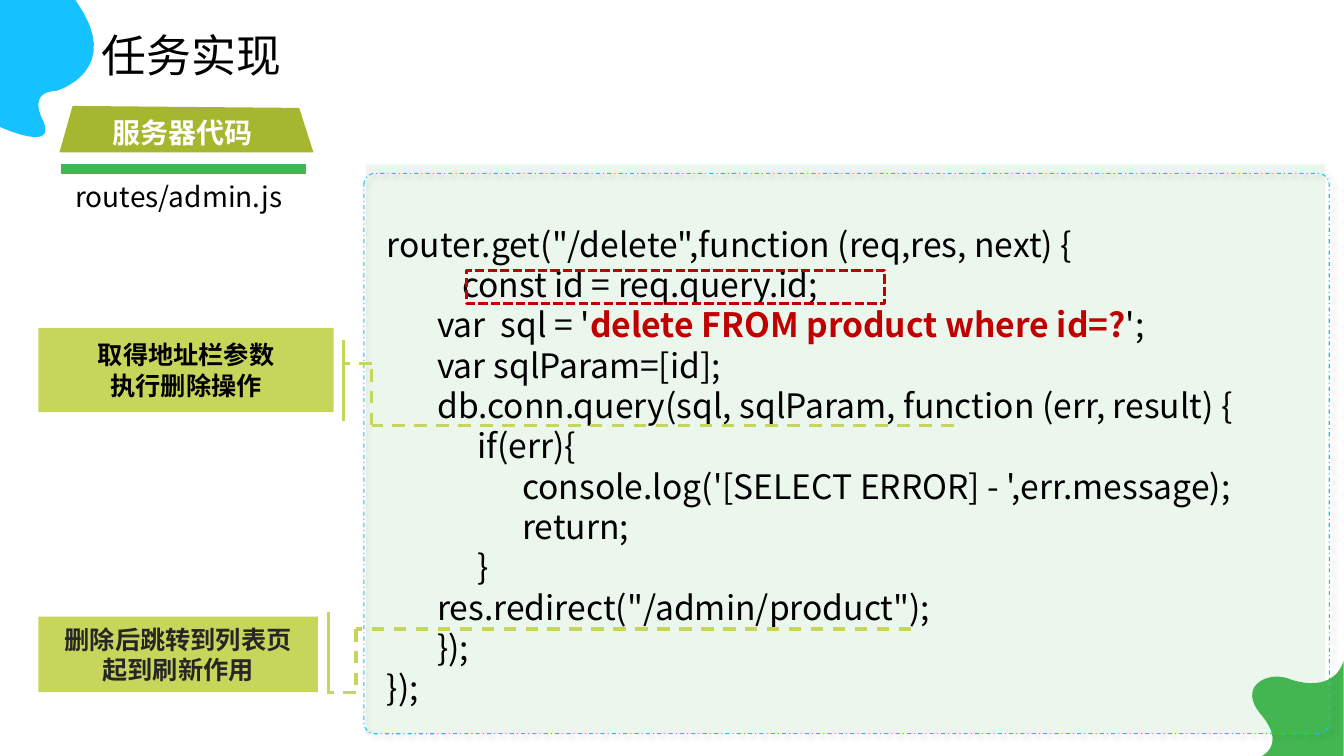
from lxml import etree
from pptx import Presentation
from pptx import util as u
from pptx.dml.color import RGBColor
from pptx.enum import dml, shapes, text
from pptx.oxml import ns

Cm, Pt = u.Cm, u.Pt
FONT = "Noto Sans CJK SC"
BLUE, GREEN, LIME, OLIVE = "15C2FF", "43B651", "C6D65B", "A5B72E"
BLACK, RED, WHITE = "000000", "C00000", "FFFFFF"
rgb = RGBColor.from_string


def add_run(paragraph, words, size, color=BLACK, bold=False):
    run = paragraph.add_run()
    run.text = words
    run.font.size, run.font.bold, run.font.name = Pt(size), bold, FONT
    run.font.color.rgb = rgb(color)
    etree.SubElement(run.font._element, ns.qn("a:ea"), typeface=FONT)


def style(shape, fill=None, line=None, width=1, dash=None):
    shape.shadow.inherit = False
    if fill:
        shape.fill.solid()
        shape.fill.fore_color.rgb = rgb(fill)
    else:
        shape.fill.background()
    if line:
        shape.line.color.rgb = rgb(line)
        shape.line.width = Pt(width)
        shape.line.dash_style = dash
    else:
        shape.line.fill.background()


prs = Presentation()
prs.slide_width, prs.slide_height = Cm(33.87), Cm(19.05)
slide = prs.slides.add_slide(prs.slide_layouts[5])
canvas = slide.shapes
RECT = shapes.MSO_SHAPE.RECTANGLE

# Corner blobs: start, cubic curves, last corner (cm)
blobs = [
    (BLUE, (0, 3.2), [[(0, 3.2), (1.45, 3.86), (1.09, 3.05)],
                      [(1.09, 3.05), (0.66, 2.31), (1.42, 2.29)],
                      [(1.42, 2.29), (3.18, 1.78), (1.9, 0)]], (0, 0)),
    (GREEN, (31.8, 19.05), [[(31.8, 19.05), (32.41, 18.77), (31.8, 18.03)],
                            [(31.17, 17.32), (31.9, 16.92), (32.44, 17.09)],
                            [(32.97, 17.3), (33.66, 17.3), (33.86, 16.66)]], (33.86, 19.05)),
]
STEPS = 16
for color, start, curves, corner in blobs:
    outline = [start]
    for curve in curves:
        anchors = [outline[-1]] + curve
        for step in range(1, STEPS + 1):
            t = step / STEPS
            weights = [(1 - t) ** 3, 3 * t * (1 - t) ** 2, 3 * t * t * (1 - t), t ** 3]
            outline.append(tuple(sum(w * a[axis] for w, a in zip(weights, anchors))
                                 for axis in (0, 1)))
    outline.append(corner)
    builder = canvas.build_freeform(Cm(start[0]), Cm(start[1]))
    builder.add_line_segments([(Cm(x), Cm(y)) for x, y in outline[1:]])
    style(builder.convert_to_shape(), color)

# Code panel: tinted background and dashed frame with a soft shadow
panel = canvas.add_shape(RECT, Cm(9.22), Cm(4.14), Cm(24.18), Cm(14.35))
style(panel, GREEN)
tint = panel.fill._xPr.find(".//" + ns.qn("a:srgbClr"))
etree.SubElement(tint, ns.qn("a:alpha"), val="10000")

frame = canvas.add_shape(shapes.MSO_SHAPE.ROUNDED_RECTANGLE,
                         Cm(9.17), Cm(4.37), Cm(24.33), Cm(14.12))
frame.adjustments[0] = 0.02
style(frame, None, BLUE, 0.75, dml.MSO_LINE.DASH_DOT)
effects = frame._element.spPr.find(ns.qn("a:effectLst"))
shadow = etree.SubElement(effects, ns.qn("a:outerShdw"), blurRad=str(Pt(4)),
                          dist=str(Pt(3)), dir="2700000", algn="tl", rotWithShape="0")
shade = etree.SubElement(shadow, ns.qn("a:srgbClr"), val=BLACK)
etree.SubElement(shade, ns.qn("a:alpha"), val="40000")

# Code listing
SQL = "delete FROM product where id=?"
code_lines = [
    'router.get("/delete",function (req,res, next) {',
    "          const id = req.query.id;",
    f"\tvar  sql = '{SQL}';",
    "\tvar sqlParam=[id];",
    "\tdb.conn.query(sql, sqlParam, function (err, result) {",
    "            if(err){",
    "                  console.log('[SELECT ERROR] - ',err.message);",
    "                  return;",
    "            }",
    '\tres.redirect("/admin/product");',
    "\t});",
    "});",
]
listing = canvas.add_textbox(Cm(9.5), Cm(5.51), Cm(24.13), Cm(11.99)).text_frame
listing.word_wrap = True
for number, code in enumerate(code_lines):
    paragraph = listing.paragraphs[0] if number == 0 else listing.add_paragraph()
    before, query, after = code.partition(SQL)
    add_run(paragraph, before, 24)
    if query:
        add_run(paragraph, query, 24, RED, True)
        add_run(paragraph, after, 24)

# Notes with lines leading to the code: box, text colour, lines (cm)
notes = [
    ((0.97, 15.54, 7.04, 1.9), "262626", ["删除后跳转到列表页", "起到刷新作用"],
     [(22.96, 15.85), (8.97, 15.85), (8.97, 17.45), (8.28, 17.45)], (15.42, 17.5)),
    ((0.97, 8.26, 7.44, 2.13), BLACK, ["取得地址栏参数", "执行删除操作"],
     [(24.03, 10.72), (9.37, 10.72), (9.37, 9.17), (8.66, 9.17)], (8.56, 10.62)),
]
for box, color, words, route, (bar_top, bar_bottom) in notes:
    note = canvas.add_shape(RECT, *map(Cm, box))
    style(note, LIME)
    note.text_frame.vertical_anchor = text.MSO_ANCHOR.MIDDLE
    for number, line_words in enumerate(words):
        paragraph = (note.text_frame.paragraphs[0] if number == 0
                     else note.text_frame.add_paragraph())
        paragraph.alignment = text.PP_ALIGN.CENTER
        add_run(paragraph, line_words, 18, color, True)
    bar_x = route[-1][0]
    segments = [(a, b, dml.MSO_LINE.DASH) for a, b in zip(route, route[1:])]
    segments.append(((bar_x, bar_top), (bar_x, bar_bottom), None))
    for begin, end, dash in segments:
        leader = canvas.add_connector(shapes.MSO_CONNECTOR.STRAIGHT,
                                      *map(Cm, begin + end))
        leader.line.color.rgb = rgb(LIME)
        leader.line.width = Pt(2.25)
        leader.line.dash_style = dash
        etree.SubElement(leader._element.spPr, ns.qn("a:effectLst"))

# Title
title = canvas.title
title.left, title.top, title.width, title.height = Cm(2.31), Cm(0.56), Cm(5.03), Cm(1.63)
title.text_frame.word_wrap = False
title.text_frame.auto_size = text.MSO_AUTO_SIZE.NONE
title.text_frame.paragraphs[0].alignment = text.PP_ALIGN.LEFT
add_run(title.text_frame.paragraphs[0], "任务实现", 32)

# Section tab with its underline
style(canvas.add_shape(RECT, Cm(1.55), Cm(4.14), Cm(6.15), Cm(0.23)), GREEN, GREEN)
tab = canvas.build_freeform(Cm(1.83), Cm(2.67))
tab.add_line_segments([(Cm(x), Cm(y)) for x, y in [(7.54, 2.72), (7.9, 3.84), (1.5, 3.84)]])
style(tab.convert_to_shape(), OLIVE)

# Section label and file name
labels = [((2.59, 2.79, 4.04, 1.12), "服务器代码", WHITE, True),
          ((1.65, 4.39, 5.82, 1.12), "routes/admin.js", BLACK, False)]
for box, words, color, bold in labels:
    label = canvas.add_textbox(*map(Cm, box)).text_frame
    label.word_wrap = not bold
    add_run(label.paragraphs[0], words, 20, color, bold)

# Highlight around the query parameter
highlight = canvas.add_shape(RECT, Cm(11.76), Cm(6.81), Cm(10.54), Cm(0.84))
style(highlight, None, RED, 2.25, dml.MSO_LINE.SQUARE_DOT)

prs.save("out.pptx")
